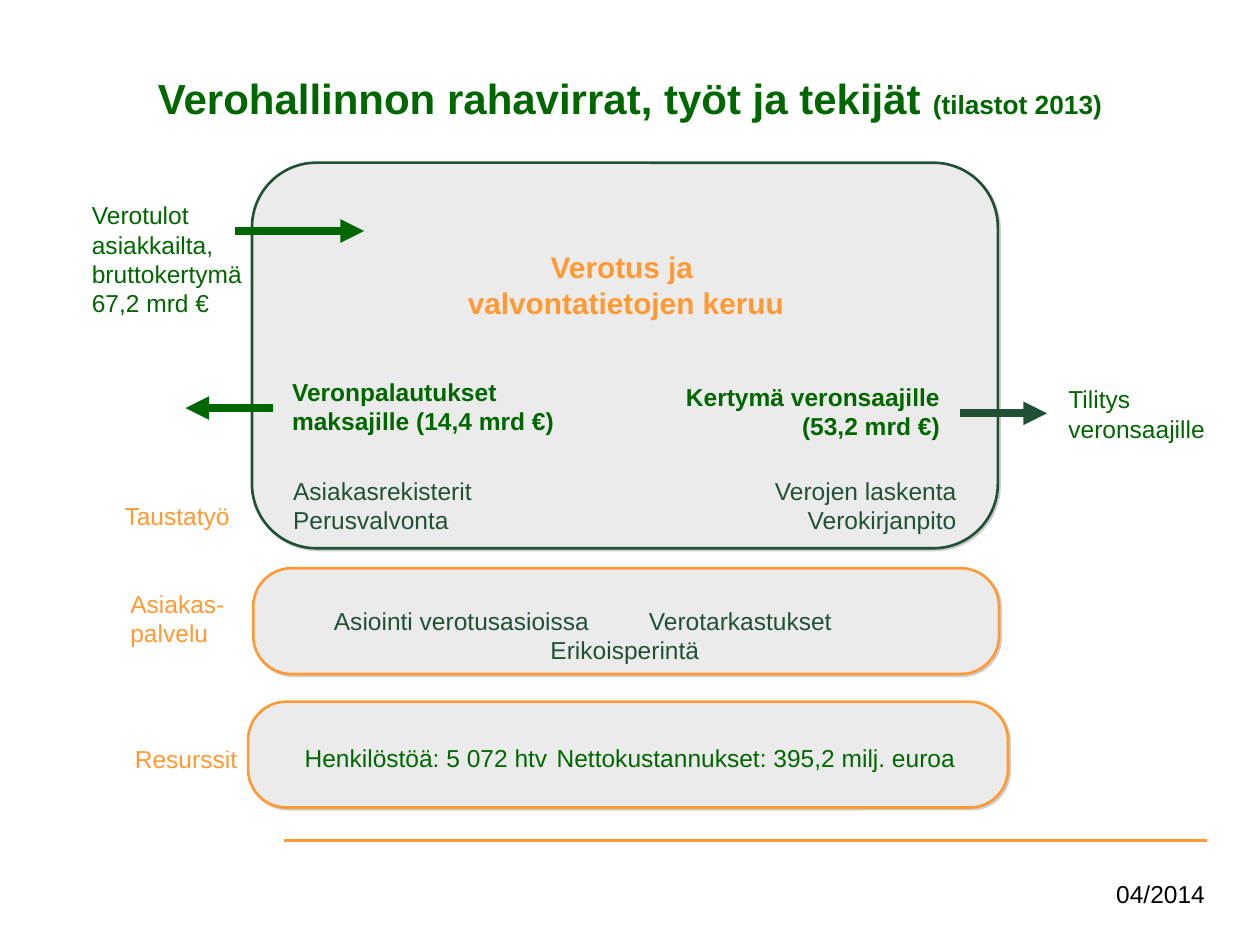
from lxml import etree
from pptx import Presentation
from pptx import util as u
from pptx.dml.color import RGBColor
from pptx.enum import shapes, text
from pptx.oxml.ns import qn

FONT = "Arial"
GREEN, PINE, ORANGE, GREY, BLACK = "006600", "215134", "FF9933", "EBEBEB", "000000"
LEFT, CENTER, RIGHT = text.PP_ALIGN.LEFT, text.PP_ALIGN.CENTER, text.PP_ALIGN.RIGHT
TOP, MIDDLE = text.MSO_ANCHOR.TOP, text.MSO_ANCHOR.MIDDLE

# left, top, width, height, corner ratio, outline
PANELS = [
    (144, 93, 426.2, 220.3, 0.167, PINE),
    (144.7, 324.7, 426.2, 60.5, 0.361, ORANGE),
    (141.8, 401, 434.2, 60.5, 0.361, ORANGE),
]

# start x, start y, end x, end y, colour, width, arrowhead
LINES = [
    (162, 480.2, 689.8, 480.2, ORANGE, 1.5, False),
    (134.2, 132, 208.1, 132, GREEN, 4.5, True),
    (548.4, 236.2, 598.3, 236.2, PINE, 4.5, True),
    (156, 233.2, 106, 233.2, GREEN, 4.5, True),
]

# box, lines, colour, then options that differ from the defaults of add_label
LABELS = [
    ((45.4, 110, 138.2, 76), ["Verotulot asiakkailta, bruttokertymä", "67,2 mrd €"],
     GREEN, dict(anchor=MIDDLE)),
    ((603.4, 216, 116.6, 41), ["Tilitys veronsaajille"], GREEN, dict(anchor=MIDDLE)),
    ((246.2, 137.5, 223.2, 50), ["Verotus ja ", "valvontatietojen keruu"], ORANGE,
     dict(size=17, bold=True, align=CENTER, anchor=MIDDLE)),
    ((159.8, 211.8, 165, 41), ["Veronpalautukset", "maksajille (14,4 mrd €)"], GREEN,
     dict(bold=True, wrap=False)),
    ((383.6, 214.8, 160.6, 41), ["Kertymä veronsaajille", "(53,2 mrd €)"], GREEN,
     dict(bold=True, align=RIGHT, wrap=False)),
    ((160.4, 268.2, 117.4, 41), ["Asiakasrekisterit", "Perusvalvonta"], PINE,
     dict(wrap=False)),
    ((434.9, 268.2, 118.8, 41), ["Verojen laskenta", "Verokirjanpito"], PINE,
     dict(align=RIGHT, wrap=False)),
    ((64.1, 282.5, 75, 24.5), ["Taustatyö"], ORANGE, dict(wrap=False)),
    ((67.4, 333, 94.3, 41), ["Asiakas-palvelu"], ORANGE, {}),
    ((70, 421.8, 94.3, 24.5), ["Resurssit"], ORANGE, {}),
    ((167, 421, 467.3, 24.5), ["Henkilöstöä: 5 072 htv\tNettokustannukset: 395,2 milj. euroa"],
     GREEN, dict(tab=155.5)),
    ((545.8, 499, 149.8, 36), ["04/2014"], BLACK, dict(align=RIGHT)),
]
TITLE_BOX = (0, 37.8, 720, 51)
TITLE = [("Verohallinnon rahavirrat, työt ja tekijät ", 24), ("(tilastot 2013)", 15)]
SERVICE_BOX = (144, 342.5, 426.2, 41)
SERVICES = ["Asiointi verotusasioissa\tVerotarkastukset", "Erikoisperintä"]
SERVICE_INDENT, SERVICE_TAB = 39.7, 228.2


def rgb(value):
    """Turn a hex string into a colour."""
    return RGBColor.from_string(value)


def points(values):
    """Turn numbers into lengths in points."""
    return [u.Pt(value) for value in values]


def style(run, size, color, bold):
    """Set the look of one run."""
    run.font.name, run.font.size, run.font.bold = FONT, u.Pt(size), bold
    run.font.color.rgb = rgb(color)


def add_tab(paragraph, position, indent=0):
    """Give a paragraph a left tab stop and a left indent."""
    properties = paragraph._p.get_or_add_pPr()
    properties.set("marL", str(u.Pt(indent)))
    properties.set("indent", "0")
    stops = etree.SubElement(properties, qn("a:tabLst"))
    etree.SubElement(stops, qn("a:tab"), pos=str(u.Pt(position)), algn="l")


def add_label(slide, box, lines, color, size=14, bold=False, align=LEFT,
              anchor=TOP, wrap=True, tab=None):
    """Add a text box with one paragraph per line and return its frame."""
    frame = slide.shapes.add_textbox(*points(box)).text_frame
    frame.word_wrap, frame.vertical_anchor = wrap, anchor
    frame.text = "\n".join(lines)
    for paragraph in frame.paragraphs:
        paragraph.alignment = align
        if tab:
            add_tab(paragraph, tab)
        for run in paragraph.runs:
            style(run, size, color, bold)
    return frame


def add_panel(slide, left, top, width, height, corner, outline):
    """Add a grey rounded panel with a thin offset shadow."""
    shape = slide.shapes.add_shape(shapes.MSO_SHAPE.ROUNDED_RECTANGLE,
                                   *points((left, top, width, height)))
    shape.adjustments[0] = corner
    shape.fill.solid()
    shape.fill.fore_color.rgb = rgb(GREY)
    shape.line.color.rgb, shape.line.width = rgb(outline), u.Pt(1.5)
    shape.shadow.inherit = False
    effects = shape._element.spPr.find(qn("a:effectLst"))
    shadow = etree.SubElement(effects, qn("a:outerShdw"), blurRad="0",
                              dist=str(u.Pt(1.4)), dir="2700000", algn="ctr", rotWithShape="0")
    color = etree.SubElement(shadow, qn("a:srgbClr"), val="808080")
    etree.SubElement(color, qn("a:alpha"), val="38000")


def add_line(slide, x1, y1, x2, y2, color, width, arrow):
    """Add a straight line, with an arrowhead at its end if asked."""
    connector = slide.shapes.add_connector(shapes.MSO_CONNECTOR.STRAIGHT,
                                           *points((x1, y1, x2, y2)))
    connector.line.color.rgb, connector.line.width = rgb(color), u.Pt(width)
    if arrow:
        etree.SubElement(connector.line._get_or_add_ln(), qn("a:tailEnd"), type="triangle")
    etree.SubElement(connector._element.spPr, qn("a:effectLst"))


presentation = Presentation()
presentation.slide_width, presentation.slide_height = points((720, 540))
slide = presentation.slides.add_slide(presentation.slide_layouts[6])

for panel in PANELS:
    add_panel(slide, *panel)
for line in LINES:
    add_line(slide, *line)
for box, lines, color, options in LABELS:
    add_label(slide, box, lines, color, **options)

services = add_label(slide, SERVICE_BOX, SERVICES, PINE, align=CENTER).paragraphs[0]
services.alignment = LEFT
add_tab(services, SERVICE_TAB, SERVICE_INDENT)

title = add_label(slide, TITLE_BOX, [], GREEN).paragraphs[0]
title.alignment = CENTER
for words, size in TITLE:
    run = title.add_run()
    run.text = words
    style(run, size, GREEN, True)

presentation.save("out.pptx")
